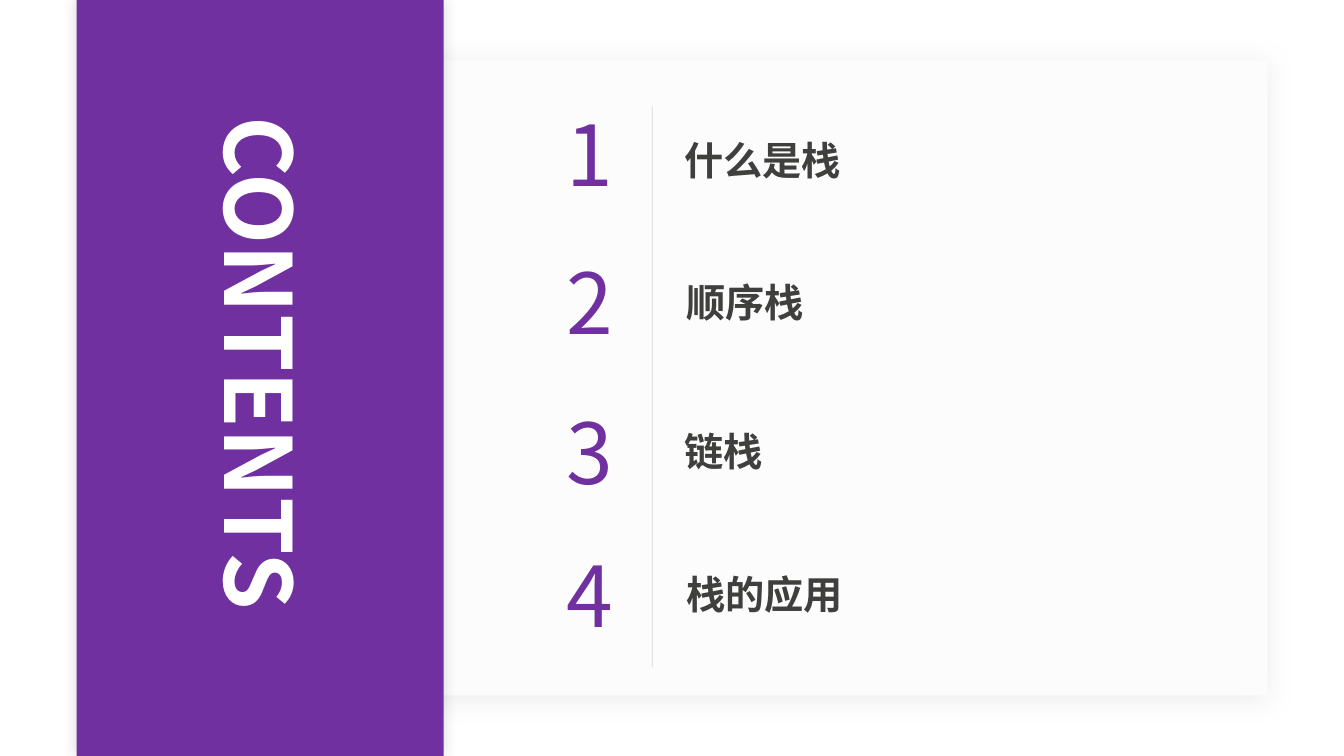
from dataclasses import dataclass

from lxml import etree
from pptx import Presentation
from pptx.dml.color import RGBColor
from pptx.enum.shapes import MSO_CONNECTOR, MSO_SHAPE
from pptx.enum.text import MSO_AUTO_SIZE, PP_ALIGN
from pptx.oxml.ns import qn
from pptx.shapes.autoshape import Shape
from pptx.slide import Slide
from pptx.util import Inches, Pt

RECTANGLE = MSO_SHAPE.RECTANGLE
STRAIGHT = MSO_CONNECTOR.STRAIGHT
GROW = MSO_AUTO_SIZE.SHAPE_TO_FIT_TEXT
LEFT = PP_ALIGN.LEFT
CENTER = PP_ALIGN.CENTER

PURPLE = RGBColor(0x70, 0x30, 0xA0)
PANEL_GRAY = RGBColor(0xFC, 0xFC, 0xFD)
SOFT_GRAY = RGBColor(0x96, 0x9F, 0x98)
DARK = RGBColor(0x3F, 0x40, 0x3E)
WHITE = RGBColor(0xFF, 0xFF, 0xFF)
FONT = "Noto Sans CJK SC"


@dataclass(frozen=True)
class Box:
    left: float
    top: float
    width: float
    height: float


@dataclass(frozen=True)
class Shadow:
    opacity: int
    blur: float
    distance: float
    angle: int


@dataclass(frozen=True)
class TextStyle:
    size: float
    color: RGBColor
    bold: bool = False
    align: PP_ALIGN = LEFT
    spacing: float = 0


@dataclass(frozen=True)
class Entry:
    title: str
    number_top: float
    title_left: float
    title_top: float
    title_width: float


TITLE_STYLE = TextStyle(66, WHITE, bold=True)
NUMBER_STYLE = TextStyle(60, PURPLE, align=CENTER, spacing=-3)
ENTRY_STYLE = TextStyle(28, DARK, bold=True)

ENTRIES = [
    Entry("什么是栈", 0.97, 6.69, 1.3, 1.77),
    Entry("顺序栈", 2.44, 6.71, 2.71, 1.38),
    Entry("链栈", 3.92, 6.69, 4.19, 0.99),
    Entry("栈的应用", 5.34, 6.71, 5.61, 1.77),
]


def add_alpha(color_element: etree._Element, opacity: int) -> None:
    etree.SubElement(color_element, qn("a:alpha"), val=str(opacity * 1000))


def add_block(slide: Slide, box: Box, color: RGBColor, shadow: Shadow) -> None:
    shape = slide.shapes.add_shape(
        RECTANGLE, Inches(box.left), Inches(box.top), Inches(box.width), Inches(box.height)
    )
    shape.fill.solid()
    shape.fill.fore_color.rgb = color
    shape.line.fill.background()
    shape.shadow.inherit = False
    effects = shape._element.spPr.find(qn("a:effectLst"))
    outer = etree.SubElement(
        effects,
        qn("a:outerShdw"),
        blurRad=str(Pt(shadow.blur)),
        dist=str(Pt(shadow.distance)),
        dir=str(shadow.angle * 60000),
        algn="ctr",
        rotWithShape="0",
    )
    add_alpha(etree.SubElement(outer, qn("a:srgbClr"), val=str(SOFT_GRAY)), shadow.opacity)


def add_text(slide: Slide, box: Box, text: str, style: TextStyle) -> Shape:
    shape = slide.shapes.add_textbox(
        Inches(box.left), Inches(box.top), Inches(box.width), Inches(box.height)
    )
    frame = shape.text_frame
    frame.word_wrap = False
    frame.auto_size = GROW
    paragraph = frame.paragraphs[0]
    paragraph.text = text
    paragraph.alignment = style.align
    font = paragraph.font
    font.size = Pt(style.size)
    font.bold = style.bold
    font.color.rgb = style.color
    font.name = FONT
    properties = paragraph._p.pPr.find(qn("a:defRPr"))
    etree.SubElement(properties, qn("a:ea"), typeface=FONT)
    if style.spacing:
        properties.set("spc", str(round(style.spacing * 100)))
    return shape


def add_divider(slide: Slide, x: float, top: float, bottom: float) -> None:
    divider = slide.shapes.add_connector(
        STRAIGHT, Inches(x), Inches(top), Inches(x), Inches(bottom)
    )
    divider.line.color.rgb = SOFT_GRAY
    divider.line.width = Pt(0.5)
    properties = divider._element.spPr
    add_alpha(next(properties.iter(qn("a:srgbClr"))), 40)
    etree.SubElement(properties, qn("a:effectLst"))


def add_entry(slide: Slide, number: int, entry: Entry) -> None:
    add_text(slide, Box(5.52, entry.number_top, 0.59, 1.11), str(number), NUMBER_STYLE)
    title_box = Box(entry.title_left, entry.title_top, entry.title_width, 0.57)
    add_text(slide, title_box, entry.title, ENTRY_STYLE)


def main() -> None:
    presentation = Presentation()
    presentation.slide_width = Inches(13.33)
    presentation.slide_height = Inches(7.5)
    slide = presentation.slides.add_slide(presentation.slide_layouts[6])

    add_block(slide, Box(2.35, 0.6, 10.22, 6.3), PANEL_GRAY, Shadow(20, 20, 3, 90))
    add_block(slide, Box(0.76, 0, 3.64, 7.5), PURPLE, Shadow(40, 10, 0, 0))
    heading = add_text(slide, Box(-0.11, 3.15, 5.39, 1.21), "CONTENTS", TITLE_STYLE)
    heading.rotation = 90
    add_divider(slide, 6.47, 1.06, 6.62)
    for number, entry in enumerate(ENTRIES, start=1):
        add_entry(slide, number, entry)

    presentation.save("out.pptx")


if __name__ == "__main__":
    main()
